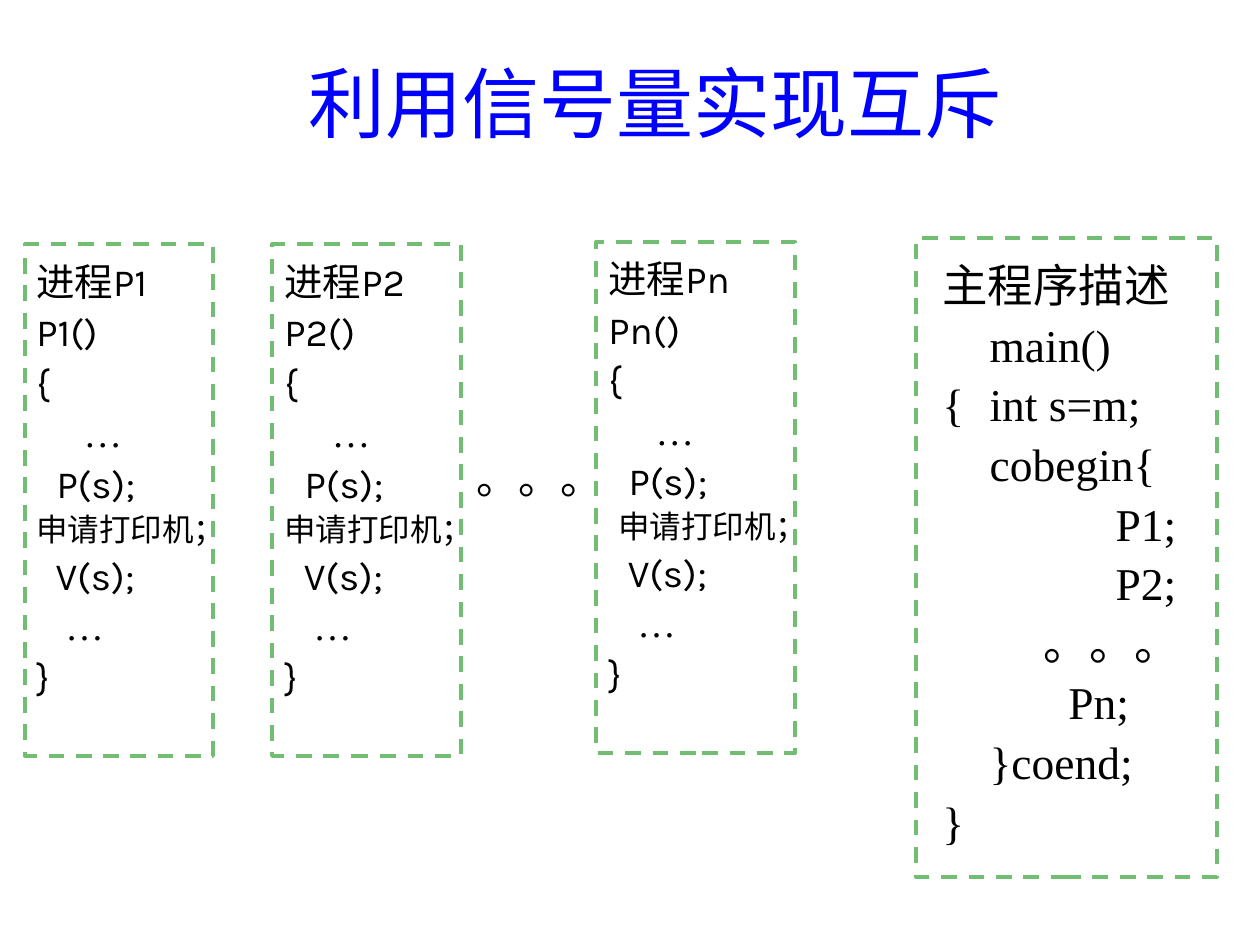
from pptx import Presentation
from pptx.dml.color import RGBColor
from pptx.enum.dml import MSO_LINE
from pptx.enum.shapes import MSO_SHAPE
from pptx.enum.text import MSO_ANCHOR, PP_ALIGN
from pptx.util import Pt

RECTANGLE = MSO_SHAPE.RECTANGLE
DASH = MSO_LINE.DASH
CENTER = PP_ALIGN.CENTER
MIDDLE = MSO_ANCHOR.MIDDLE

BLUE = RGBColor(0x00, 0x00, 0xFF)
BLACK = RGBColor(0x00, 0x00, 0x00)
GREEN = RGBColor(0x71, 0xBD, 0x71)

SANS, SERIF, CJK = "Karla", "Times New Roman", "Noto Sans CJK JP"
HANGING = 27

TITLE = "利用信号量实现互斥"
SEPARATOR = "。。。"

PROCESSES = [
    {"name": "P1", "text": (13.7, 146.9, 118, 233.3),
     "frame": (14.4, 139.7, 107.3, 292.3), "request_indent": 0},
    {"name": "P2", "text": (155.5, 146.9, 108, 234.7),
     "frame": (155.5, 139.7, 108, 292.3), "request_indent": 0},
    {"name": "Pn", "text": (340.6, 145.4, 113.8, 234.7),
     "frame": (340.6, 138.2, 113.8, 292.3), "request_indent": 5.5},
]

MAIN_TEXT = (531.4, 146.9, 200.9, 302.4)
MAIN_FRAME = (523.4, 136.1, 172.1, 365)
MAIN_LINES = [
    ("主程序描述", 0),
    ("main()", 27),
    ("{\tint s=m;", 0),
    ("cobegin{", 27),
    ("P1;", 99),
    ("P2;", 99),
    ("。。。", 58),
    ("Pn;", 72),
    ("}coend;", 27),
    ("}", 0),
]


def process_lines(name, request_indent):
    return [
        (f"进程{name}", 0, 22, SANS),
        (f"{name}()", 0, 22, SANS),
        ("{", 0, 22, SANS),
        ("…", 27, 22, SERIF),
        ("P(s);", 11.5, 22, SANS),
        ("申请打印机；", request_indent, 18, SERIF),
        ("V(s);", 11, 22, SANS),
        ("…", 16.5, 22, SERIF),
        ("}", 0, 22, SANS),
    ]


def add_text_box(page, place):
    box = page.shapes.add_textbox(*map(Pt, place))
    box.text_frame.word_wrap = True
    return box.text_frame


def style(para, text, size, font, color=BLACK):
    para.text = text
    para.font.size = Pt(size)
    para.font.name = font
    para.font.color.rgb = color


def add_code(page, place, lines):
    frame = add_text_box(page, place)
    for number, (text, start, size, font) in enumerate(lines):
        para = frame.add_paragraph() if number else frame.paragraphs[0]
        style(para, text, size, font)
        para.line_spacing = 0.9
        para.space_before = Pt(round(size * 0.23, 1))
        margin = max(start, HANGING)
        properties = para._p.get_or_add_pPr()
        properties.set("marL", str(Pt(margin)))
        properties.set("indent", str(Pt(start - margin)))


def add_dashed_frame(page, place):
    shape = page.shapes.add_shape(RECTANGLE, *map(Pt, place))
    shape.shadow.inherit = False
    shape.fill.background()
    shape.line.color.rgb = GREEN
    shape.line.width = Pt(2.25)
    shape.line.dash_style = DASH


def main():
    deck = Presentation()
    deck.slide_width, deck.slide_height = Pt(720), Pt(540)
    page = deck.slides.add_slide(deck.slide_layouts[6])

    title = add_text_box(page, (68.4, 13, 612, 90))
    title.vertical_anchor = MIDDLE
    style(title.paragraphs[0], TITLE, 44, CJK, BLUE)
    title.paragraphs[0].alignment = CENTER

    for process in PROCESSES:
        add_dashed_frame(page, process["frame"])
        add_code(page, process["text"],
                 process_lines(process["name"], process["request_indent"]))

    add_dashed_frame(page, MAIN_FRAME)
    add_code(page, MAIN_TEXT,
             [(text, start, 26, SERIF) for text, start in MAIN_LINES])

    separator = add_text_box(page, (265, 254.9, 75.6, 36))
    style(separator.paragraphs[0], SEPARATOR, 24, SERIF)

    deck.save("out.pptx")


if __name__ == "__main__":
    main()
